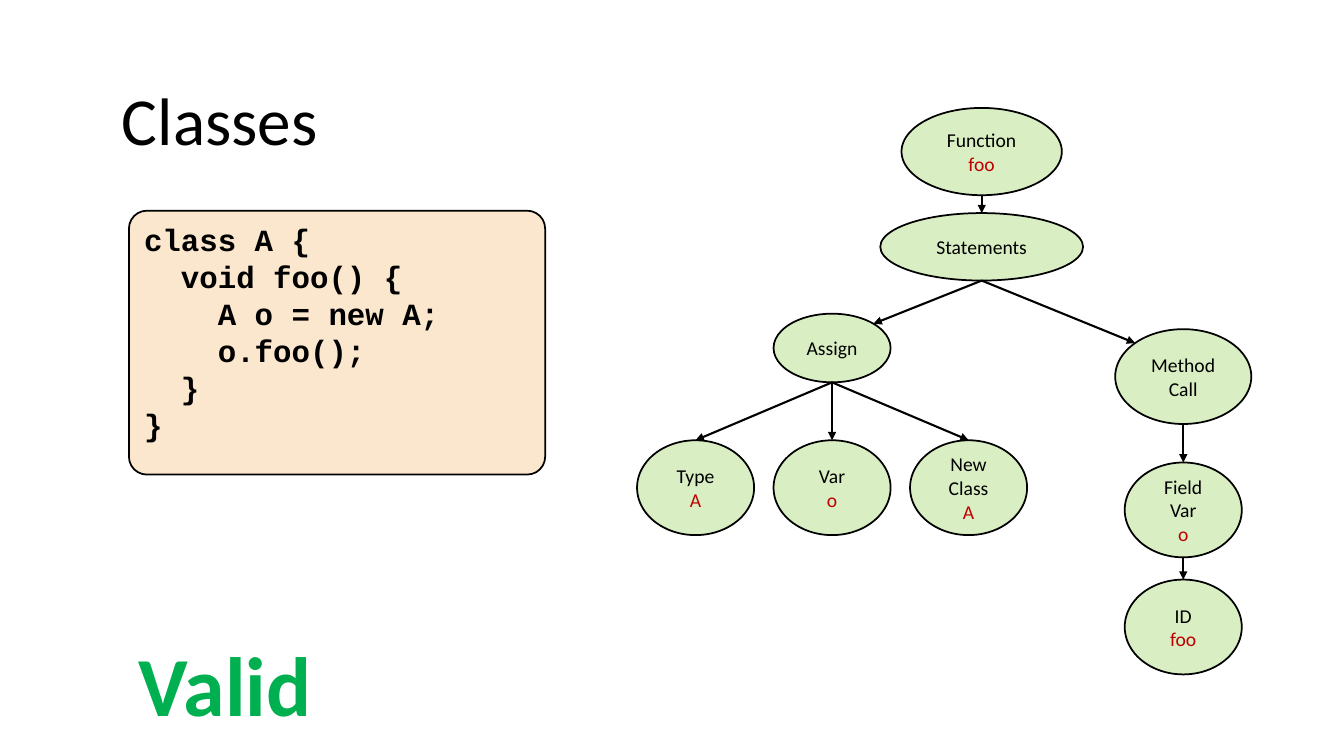
from math import cos, radians, sin

from lxml import etree
from pptx import Presentation
from pptx.dml.color import RGBColor
from pptx.enum import shapes, text
from pptx.oxml.ns import qn
from pptx.util import Cm, Pt

BLACK, RED, GREEN = "000000", "C00000", "00B050"
NODE_FILL, CODE_FILL = "92D050", "FBE6CE"
LEAF = (2.95, 2.39)
MAIN_X, ASSIGN_X, CALL_X = 24.74, 20.97, 29.82
LEAF_Y, LEAF_STEP = 12.29, 3.44
CODE_INDENT = 0.93

# Name: (centre x, centre y, (width, height), label lines, red identifier)
NODES = {
    "function": (MAIN_X, 3.82, (4.04, 2.2), ["Function"], "foo"),
    "statements": (MAIN_X, 6.22, (5.11, 1.7), ["Statements"], None),
    "assign": (ASSIGN_X, 8.77, (2.95, 1.73), ["Assign"], None),
    "type": (ASSIGN_X - LEAF_STEP, LEAF_Y, LEAF, ["Type"], "A"),
    "var": (ASSIGN_X, LEAF_Y, LEAF, ["Var"], "o"),
    "new": (ASSIGN_X + LEAF_STEP, LEAF_Y, LEAF, ["New", "Class"], "A"),
    "call": (CALL_X, 9.49, (3.43, 2.39), ["Method", "Call"], None),
    "field": (CALL_X, 12.85, LEAF, ["Field", "Var"], "o"),
    "id": (CALL_X, 15.8, LEAF, ["ID"], "foo"),
}

# Ellipse connection sites run anticlockwise from the top in 45 degree steps
TOP, TOP_LEFT, BOTTOM, TOP_RIGHT = 0, 1, 4, 7
EDGES = [
    ("function", "statements", TOP),
    ("statements", "assign", TOP_RIGHT),
    ("statements", "call", TOP_LEFT),
    ("assign", "type", TOP),
    ("assign", "var", TOP),
    ("assign", "new", TOP),
    ("call", "field", TOP),
    ("field", "id", TOP),
]

# (indent level, code)
CODE = [
    (0, "class A {"),
    (1, "void foo() {"),
    (2, "A o = new A;"),
    (2, "o.foo();"),
    (1, "}"),
    (0, "}"),
]


def rgb(value):
    return RGBColor.from_string(value)


def add_text(tf, content, size, color=BLACK, font="Calibri", bold=False,
             align=text.PP_ALIGN.LEFT, indent=0):
    """Write one paragraph, using the empty first one if it is free."""
    p = tf.paragraphs[0] if not tf.text else tf.add_paragraph()
    p.alignment = align
    if indent:
        pPr = p._p.get_or_add_pPr()
        pPr.set("marL", str(Cm(indent)))
        pPr.set("indent", "0")
    r = p.add_run()
    r.text = content
    r.font.size, r.font.name, r.font.bold = Pt(size), font, bold
    r.font.color.rgb = rgb(color)


def add_box(s, kind, x, y, w, h, fill, alpha=None):
    sp = s.shapes.add_shape(kind, Cm(x), Cm(y), Cm(w), Cm(h))
    sp.shadow.inherit = False
    sp.fill.solid()
    sp.fill.fore_color.rgb = rgb(fill)
    if alpha:
        clr = sp.element.spPr.find(f"{qn('a:solidFill')}/{qn('a:srgbClr')}")
        etree.SubElement(clr, qn("a:alpha"), val=str(alpha * 1000))
    sp.line.color.rgb = rgb(BLACK)
    sp.line.width = Pt(1.25)
    return sp


def add_node(s, x, y, size, labels, identifier):
    w, h = size
    sp = add_box(s, shapes.MSO_SHAPE.OVAL, x - w / 2, y - h / 2, w, h,
                 NODE_FILL, alpha=34)
    tf = sp.text_frame
    tf.vertical_anchor = text.MSO_ANCHOR.MIDDLE
    for label in labels:
        add_text(tf, label, 14, align=text.PP_ALIGN.CENTER)
    if identifier:
        add_text(tf, identifier, 14, RED, align=text.PP_ALIGN.CENTER)
    return sp


def site_point(sp, site):
    angle = radians(90 + 45 * site)
    return (round(sp.left + sp.width / 2 * (1 + cos(angle))),
            round(sp.top + sp.height / 2 * (1 - sin(angle))))


def add_arrow(s, parent, child, child_site):
    c = s.shapes.add_connector(shapes.MSO_CONNECTOR.STRAIGHT,
                               *site_point(parent, BOTTOM),
                               *site_point(child, child_site))
    c.line.color.rgb = rgb(BLACK)
    c.line.width = Pt(1.5)
    etree.SubElement(c.line._get_or_add_ln(), qn("a:tailEnd"), type="triangle")
    etree.SubElement(c.element.spPr, qn("a:effectLst"))
    # Glue both ends to their nodes
    props = c.element.find(f".//{qn('p:cNvCxnSpPr')}")
    for tag, sp, site in (("a:stCxn", parent, BOTTOM),
                          ("a:endCxn", child, child_site)):
        etree.SubElement(props, qn(tag), id=str(sp.shape_id), idx=str(site))


def add_title(s, content):
    sp = s.shapes.title
    sp.left, sp.top, sp.width, sp.height = Cm(2.82), Cm(1.85), Cm(28.17), Cm(2.31)
    sp.text_frame.vertical_anchor = text.MSO_ANCHOR.TOP
    add_text(sp.text_frame, content, 48)


def add_code(s):
    sp = add_box(s, shapes.MSO_SHAPE.ROUNDED_RECTANGLE,
                 3.25, 5.31, 10.49, 6.65, CODE_FILL)
    sp.adjustments[0] = 0.068
    sp.text_frame.vertical_anchor = text.MSO_ANCHOR.TOP
    for level, line in CODE:
        add_text(sp.text_frame, line, 22, font="Courier New", bold=True,
                 indent=level * CODE_INDENT)


def add_verdict(s, content):
    sp = s.shapes.add_textbox(Cm(3.25), Cm(15.82), Cm(7.77), Cm(2.82))
    sp.text_frame.word_wrap = True
    add_text(sp.text_frame, content, 60, GREEN, bold=True)


def main():
    prs = Presentation()
    prs.slide_width, prs.slide_height = Cm(33.87), Cm(19.05)
    s = prs.slides.add_slide(prs.slide_layouts.get_by_name("Title Only"))

    # Title, code and verdict
    add_title(s, "Classes")
    add_code(s)
    add_verdict(s, "Valid")

    # Syntax tree
    nodes = {name: add_node(s, *node) for name, node in NODES.items()}
    for parent, child, site in EDGES:
        add_arrow(s, nodes[parent], nodes[child], site)

    prs.save("out.pptx")


if __name__ == "__main__":
    main()
